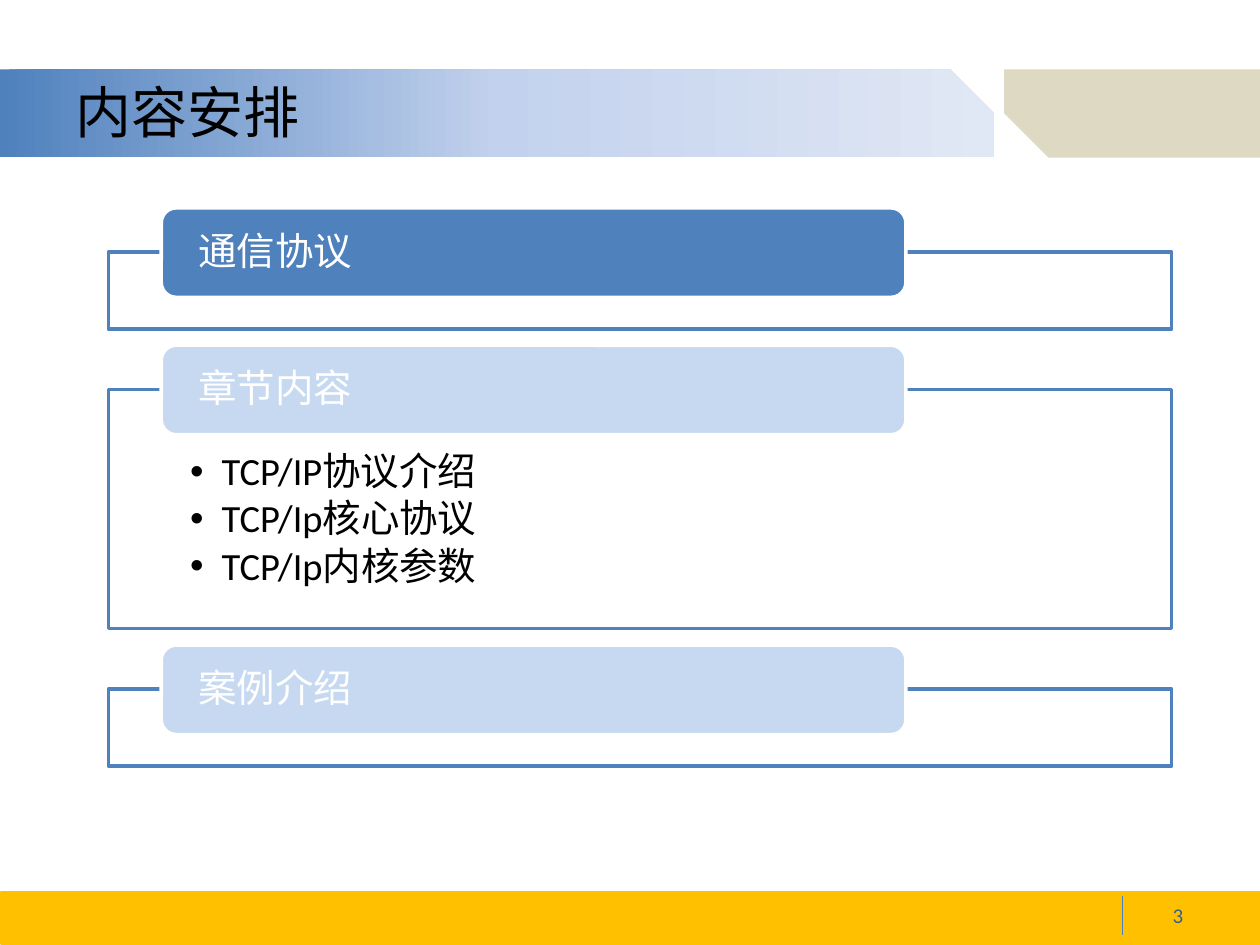
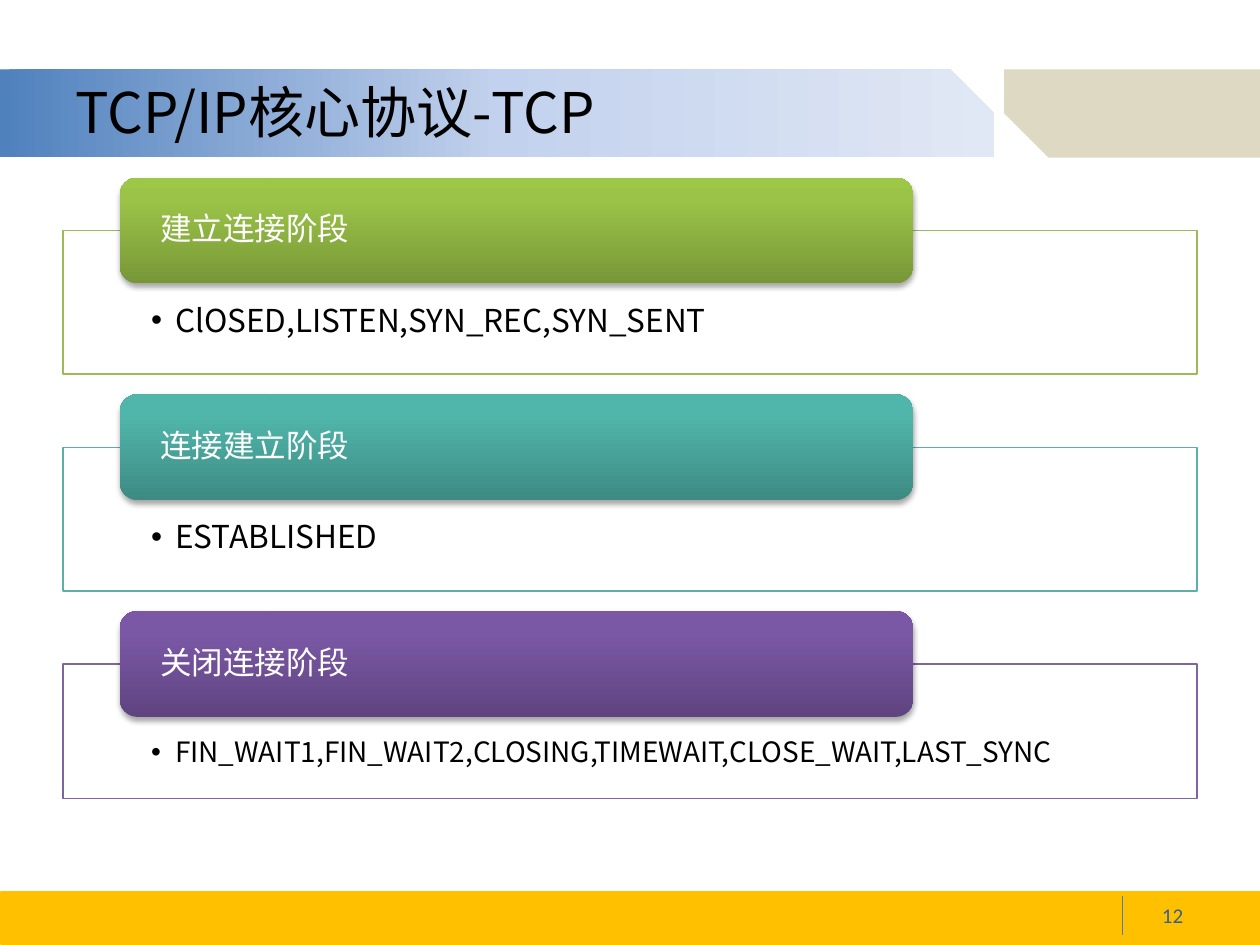
import pptx
import pptx.util
import pptx.dml.color
import pptx.enum.dml
import pptx.enum.shapes
import pptx.enum.text
import pptx.oxml
import pptx.oxml.ns
import lxml.etree

Inches = pptx.util.Inches
Pt = pptx.util.Pt
Shape = pptx.enum.shapes.MSO_SHAPE
Align = pptx.enum.text.PP_ALIGN
Anchor = pptx.enum.text.MSO_ANCHOR
qn = pptx.oxml.ns.qn

CJK_FONT = "Noto Sans CJK SC"
LATIN_FONT = "Calibri"
BLUE, PALE_BLUE, WHITE, BLACK = "4F81BD", "C6D9F1", "FFFFFF", "000000"
AMBER, SAND, RULE_BLUE, NUMBER_BLUE = "FFC000", "DDD9C3", "4B7EBC", "376092"


def paint(shape, fill, line=None, width=1, angle=0):
    """Fill with a hex colour or a list of (percent, hex) stops; outline if asked."""
    shape.shadow.inherit = False
    if isinstance(fill, str):
        shape.fill.solid()
        shape.fill.fore_color.rgb = pptx.dml.color.RGBColor.from_string(fill)
    else:
        shape.fill.gradient()
        shape.fill.gradient_angle = angle
        stops = shape.element.find(".//" + qn("a:gsLst"))
        for stop in list(stops):
            stops.remove(stop)
        for percent, colour in fill:
            stop = lxml.etree.SubElement(stops, qn("a:gs"), pos=str(percent * 1000))
            lxml.etree.SubElement(stop, qn("a:srgbClr"), val=colour)
    if line:
        shape.line.color.rgb = pptx.dml.color.RGBColor.from_string(line)
        shape.line.width = Pt(width)
    else:
        shape.line.fill.background()


def write(shape, lines, size, font, colour, align=Align.LEFT, anchor=Anchor.MIDDLE,
          insets=(0.1, 0.05, 0.1, 0.05), spacing=1.0, hanging=None):
    """Write one paragraph per line, with bullets when a hanging indent is given."""
    frame = shape.text_frame
    left, top, right, bottom = (Inches(inset) for inset in insets)
    frame_format = {"word_wrap": True, "auto_size": pptx.enum.text.MSO_AUTO_SIZE.NONE,
                    "vertical_anchor": anchor, "margin_left": left, "margin_top": top,
                    "margin_right": right, "margin_bottom": bottom}
    for name, value in frame_format.items():
        setattr(frame, name, value)
    para_format = {"alignment": align, "line_spacing": spacing, "space_before": Pt(0),
                   "space_after": Pt(size * 0.15 if hanging else 0)}
    for index, line in enumerate(lines):
        para = frame.add_paragraph() if index else frame.paragraphs[0]
        for name, value in para_format.items():
            setattr(para, name, value)
        if hanging:
            properties = para._p.get_or_add_pPr()
            properties.set("marL", str(Inches(hanging)))
            properties.set("indent", str(-Inches(hanging)))
            lxml.etree.SubElement(properties, qn("a:buFont"), typeface="Arial")
            lxml.etree.SubElement(properties, qn("a:buChar"), char="•")
        span = para.add_run()
        span.text = line
        span_format = {"size": Pt(size), "name": font, "bold": False}
        for name, value in span_format.items():
            setattr(span.font, name, value)
        span.font.color.rgb = pptx.dml.color.RGBColor.from_string(colour)


# Slides: each panel is (heading, list, height, line, pill fill, list size)
slides = [
    {
        "title": "内容安排", "number": "3", "font": LATIN_FONT,
        "left": 0.86, "top": 2, "width": 8.44, "gap": 0.48, "line_width": 2,
        "pill": (1.28, 0.35, 5.91, 0.71), "pill_line": WHITE, "pill_size": 22,
        "pill_inset": 0.26, "list_insets": (0.65, 0.5, 0.65, 0.17), "hanging": 0.25,
        "shadow": False,
        "panels": [
            ("通信协议", [], 0.61, BLUE, BLUE, 22),
            ("章节内容", ["TCP/IP协议介绍", "TCP/Ip核心协议", "TCP/Ip内核参数"],
             1.9, BLUE, PALE_BLUE, 22),
            ("案例介绍", [], 0.61, BLUE, PALE_BLUE, 22),
        ],
    },
    {
        "title": "TCP/IP核心协议-TCP", "number": "12", "font": CJK_FONT,
        "left": 0.5, "top": 1.83, "width": 9, "gap": 0.58, "line_width": 0.75,
        "pill": (0.95, 0.42, 6.3, 0.84), "pill_line": None, "pill_size": 18,
        "pill_inset": 0.28, "list_insets": (0.7, 0.59, 0.7, 0.14), "hanging": 0.19,
        "shadow": True,
        "panels": [
            ("建立连接阶段", ["ClOSED,LISTEN,SYN_REC,SYN_SENT"], 1.14, "9BBB59",
             [(0, "779737"), (80, "9BC348"), (100, "9DC746")], 18),
            ("连接建立阶段", ["ESTABLISHED"], 1.14, "5EAFA6",
             [(0, "3D8B83"), (80, "50B5AA"), (100, "4EB8AC")], 18),
            ("关闭连接阶段",
             ["FIN_WAIT1,FIN_WAIT2,CLOSING,TIMEWAIT,CLOSE_WAIT,LAST_SYNC"], 1.07, "8064A2",
             [(0, "5F4480"), (80, "7B58A6"), (100, "7C57A8")], 16),
        ],
    },
]

deck = pptx.Presentation()
deck.slide_width, deck.slide_height = Inches(10), Inches(7.5)
layout = deck.slide_layouts.get_by_name("Comparison")
pages = [deck.slides.add_slide(layout) for _ in slides]

# Shared bands and footer, drawn once and moved to the layout
shapes = pages[0].shapes
sand_tab = shapes.add_shape(Shape.SNIP_1_RECTANGLE, Inches(7.97), Inches(0.55),
                            Inches(2.03), Inches(0.7))
sand_tab.rotation = 180
title_band = shapes.add_shape(Shape.SNIP_1_RECTANGLE, 0, Inches(0.55),
                              Inches(7.89), Inches(0.7))
for band in (sand_tab, title_band):
    band.adjustments[0] = 0.5
footer = shapes.add_shape(Shape.RECTANGLE, Inches(0.01), Inches(7.08),
                          Inches(9.99), Inches(0.41))
paint(sand_tab, SAND)
paint(title_band, [(0, BLUE), (50, "C2D1ED"), (100, "E1E8F5")])
paint(footer, AMBER, AMBER)
divider = shapes.add_connector(pptx.enum.shapes.MSO_CONNECTOR.STRAIGHT, Inches(8.91),
                               Inches(7.11), Inches(8.91), Inches(7.42))
divider.line.color.rgb = pptx.dml.color.RGBColor.from_string(RULE_BLUE)
divider.line.width = Pt(0.75)
lxml.etree.SubElement(divider.element.spPr, qn("a:effectLst"))
for index, part in enumerate((sand_tab, title_band, footer, divider)):
    part.element.find(".//" + qn("p:cNvPr")).set("id", str(100 + index))
    layout.shapes.element.insert(2 + index, part.element)

for page, content in zip(pages, slides):
    # Title and page number
    title = page.shapes.title
    title.left, title.top, title.width, title.height = (
        Inches(length) for length in (0.5, 0.56, 9, 0.64))
    write(title, [content["title"]], 32, CJK_FONT, BLACK)
    number = page.shapes.add_textbox(Inches(9.06), Inches(7.11), Inches(0.43), Inches(0.31))
    write(number, [content["number"]], 12, LATIN_FONT, NUMBER_BLUE, Align.RIGHT)

    # Panels stacked with an equal gap, each headed by a pill
    bodies = [body for body in page.placeholders if body.placeholder_format.idx]
    top = content["top"]
    for heading, items, height, line, pill_fill, list_size in content["panels"]:
        area = [Inches(length) for length in (content["left"], top, content["width"], height)]
        panel = page.shapes.add_shape(Shape.RECTANGLE, *area)
        paint(panel, WHITE, line, content["line_width"])
        if items:
            body = bodies.pop()
            body.left, body.top, body.width, body.height = area
            page.shapes.element.append(body.element)
            write(body, items, list_size, content["font"], BLACK, anchor=Anchor.TOP,
                  insets=content["list_insets"], spacing=0.9, hanging=content["hanging"])

        pill_left, pill_rise, pill_width, pill_height = content["pill"]
        pill = page.shapes.add_shape(Shape.ROUNDED_RECTANGLE, Inches(pill_left),
                                     Inches(top - pill_rise), Inches(pill_width),
                                     Inches(pill_height))
        paint(pill, pill_fill, content["pill_line"], 2, angle=90)
        inset = content["pill_inset"]
        write(pill, [heading], content["pill_size"], content["font"], WHITE,
              insets=(inset, 0, inset, 0), spacing=0.9)
        if content["shadow"]:
            effects = pill.element.spPr.find(qn("a:effectLst"))
            shadow = lxml.etree.SubElement(effects, qn("a:outerShdw"), blurRad=str(Pt(3.1)),
                                           dist=str(Pt(1.8)), dir="5400000", rotWithShape="0")
            tint = lxml.etree.SubElement(shadow, qn("a:srgbClr"), val=BLACK)
            lxml.etree.SubElement(tint, qn("a:alpha"), val="35000")
        top += height + content["gap"]

    # Unused placeholders
    for body in bodies:
        body.element.getparent().remove(body.element)

deck.save("out.pptx")
